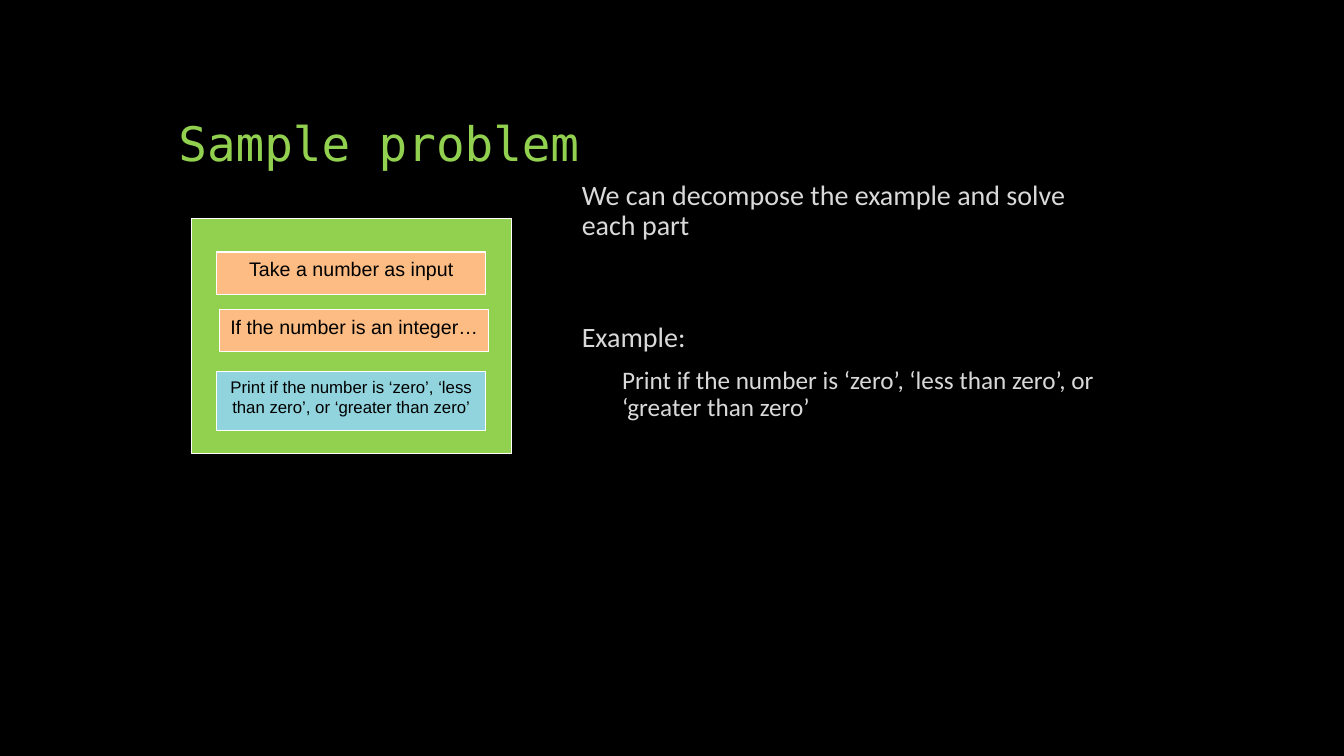
"""Build the "Sample problem" slide with its decomposed steps."""
from dataclasses import dataclass

from lxml import etree
from pptx import Presentation
from pptx.dml.color import RGBColor
from pptx.enum.shapes import MSO_SHAPE
from pptx.enum.text import MSO_ANCHOR, MSO_AUTO_SIZE, PP_ALIGN
from pptx.oxml.ns import qn
from pptx.util import Inches, Pt

RECTANGLE = MSO_SHAPE.RECTANGLE
TOP, BOTTOM = MSO_ANCHOR.TOP, MSO_ANCHOR.BOTTOM
LEFT, CENTER = PP_ALIGN.LEFT, PP_ALIGN.CENTER
NO_AUTOFIT = MSO_AUTO_SIZE.NONE


@dataclass(frozen=True)
class Theme:
    background: str = "000000"
    green: str = "92D050"
    orange: str = "FCBC83"
    blue: str = "91D4DD"
    outline: str = "FFFFFF"
    body_color: str = "D9D9D9"
    box_color: str = "000000"
    title_font: str = "DejaVu Sans Mono"
    body_font: str = "Calibri"
    box_font: str = "Arial"
    title_size: int = 34
    body_size: int = 20
    detail_size: int = 18
    step_size: int = 14
    small_step_size: int = 12


@dataclass(frozen=True)
class Box:
    left: float
    top: float
    width: float
    height: float
    fill: str
    text: str = ""
    size: int = 0


@dataclass(frozen=True)
class BodyLine:
    text: str
    size: int
    space_before: int
    level: int = 0
    indent: float = 0


THEME = Theme()
TASK = "Print if the number is ‘zero’, ‘less than zero’, or ‘greater than zero’"
STEP_WIDTH = 2.67
BOXES = (
    Box(1.9, 2.17, 3.17, 2.33, THEME.green),
    Box(2.15, 2.5, STEP_WIDTH, 0.42, THEME.orange, "Take a number as input", THEME.step_size),
    Box(2.18, 3.07, STEP_WIDTH, 0.42, THEME.orange, "If the number is an integer…", THEME.step_size),
    Box(2.15, 3.69, STEP_WIDTH, 0.58, THEME.blue, TASK, THEME.small_step_size),
)
BODY_LINES = (
    BodyLine("We can decompose the example and solve each part", THEME.body_size, 18),
    BodyLine("Example:", THEME.body_size, 58),
    BodyLine(TASK, THEME.detail_size, 10, level=1, indent=0.4),
)


def place(shape, left: float, top: float, width: float, height: float) -> None:
    shape.left, shape.top = Inches(left), Inches(top)
    shape.width, shape.height = Inches(width), Inches(height)


def add_run(paragraph, text: str, font: str, size: int, color: str) -> None:
    run = paragraph.add_run()
    run.text = text
    run.font.name = font
    run.font.size = Pt(size)
    run.font.color.rgb = RGBColor.from_string(color)


def fill_title(title) -> None:
    place(title, 1.67, 0.5, 10, 1.25)
    frame = title.text_frame
    frame.auto_size = NO_AUTOFIT
    frame.vertical_anchor = BOTTOM
    paragraph = frame.paragraphs[0]
    paragraph.alignment = LEFT
    paragraph.line_spacing = 0.9
    add_run(paragraph, "Sample problem", THEME.title_font, THEME.title_size, THEME.green)


def fill_body(body) -> None:
    place(body, 5.67, 1.75, 5.5, 4.95)
    frame = body.text_frame
    frame.auto_size = NO_AUTOFIT
    for index, line in enumerate(BODY_LINES):
        paragraph = frame.add_paragraph() if index else frame.paragraphs[0]
        paragraph.level = line.level
        paragraph.line_spacing = 0.9
        paragraph.space_before = Pt(line.space_before)
        properties = paragraph._p.get_or_add_pPr()
        properties.set("marL", str(Inches(line.indent)))
        properties.set("indent", "0")
        etree.SubElement(properties, qn("a:buNone"))
        add_run(paragraph, line.text, THEME.body_font, line.size, THEME.body_color)


def add_box(slide, box: Box) -> None:
    shape = slide.shapes.add_shape(
        RECTANGLE, Inches(box.left), Inches(box.top), Inches(box.width), Inches(box.height)
    )
    shape.shadow.inherit = False
    shape.fill.solid()
    shape.fill.fore_color.rgb = RGBColor.from_string(box.fill)
    shape.line.color.rgb = RGBColor.from_string(THEME.outline)
    shape.line.width = Pt(0.75)
    if box.text:
        frame = shape.text_frame
        frame.word_wrap = True
        frame.vertical_anchor = TOP
        paragraph = frame.paragraphs[0]
        paragraph.alignment = CENTER
        add_run(paragraph, box.text, THEME.box_font, box.size, THEME.box_color)


def main() -> None:
    presentation = Presentation()
    presentation.slide_width, presentation.slide_height = Inches(13.33), Inches(7.5)
    slide = presentation.slides.add_slide(presentation.slide_layouts[1])
    slide.background.fill.solid()
    slide.background.fill.fore_color.rgb = RGBColor.from_string(THEME.background)
    fill_title(slide.shapes.title)
    fill_body(slide.placeholders[1])
    for box in BOXES:
        add_box(slide, box)
    presentation.save("out.pptx")


if __name__ == "__main__":
    main()
